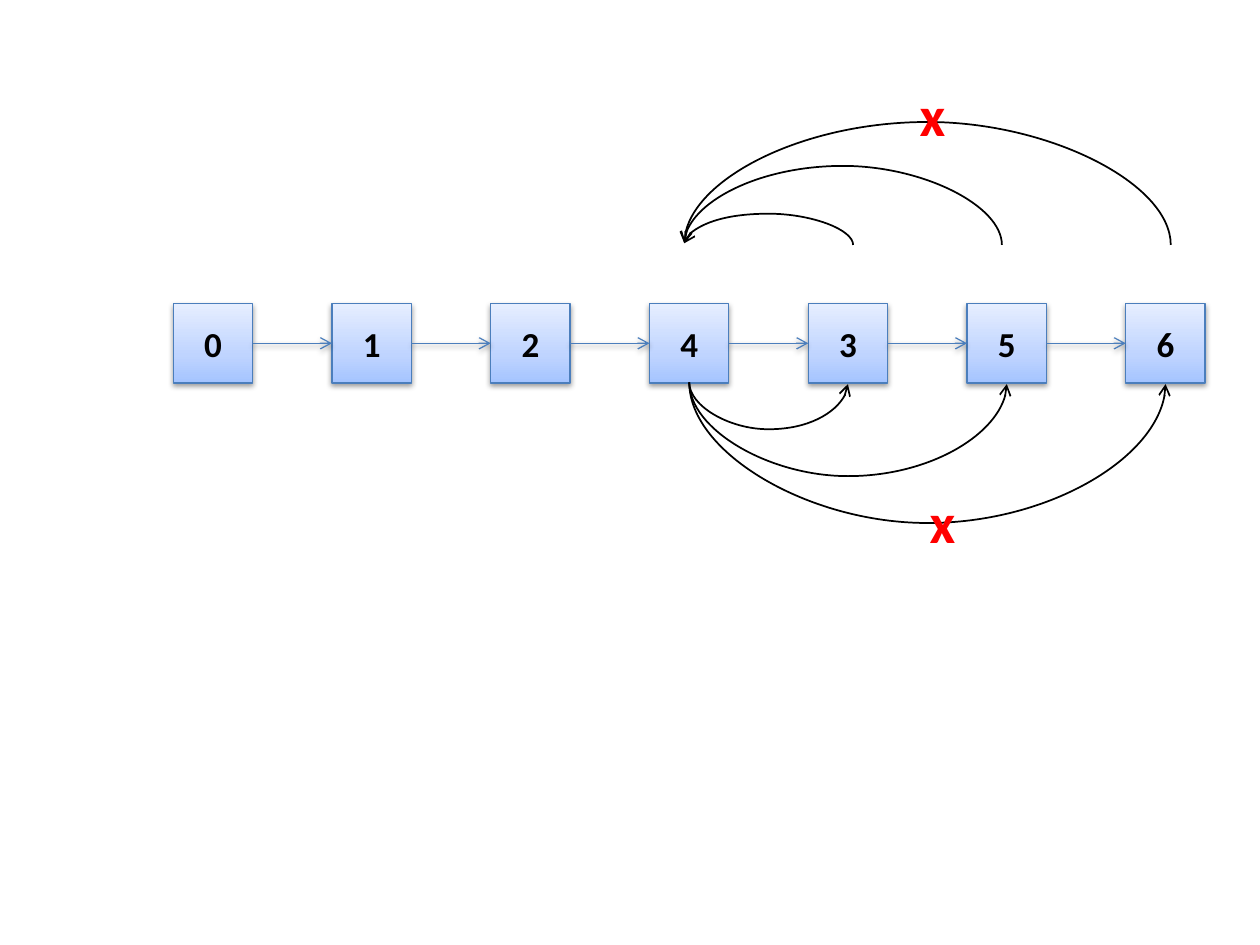
from dataclasses import dataclass

import pptx
import pptx.dml.color
import pptx.enum.dml
import pptx.enum.shapes
import pptx.enum.text
import pptx.oxml
import pptx.oxml.ns
import pptx.util
from copy import deepcopy

Pt = pptx.util.Pt
RGB = pptx.dml.color.RGBColor.from_string


@dataclass(frozen=True)
class Theme:
    font: str = "Calibri"
    node_size: int = 20
    cross_size: int = 32
    black: str = "000000"
    edge: str = "4B7EBC"
    cross: str = "FF0000"
    gradient: tuple = ((0, "A4C4FF"), (0.35, "BFD4FF"), (1, "E6EEFF"))


THEME = Theme()
NS = pptx.oxml.ns.nsdecls("a")
SHADOW = (
    '<a:outerShdw blurRad="40000" dist="20000" dir="5400000" rotWithShape="0">'
    '<a:srgbClr val="000000"><a:alpha val="38000"/></a:srgbClr></a:outerShdw>'
)


def set_effects(shape, effects=""):
    shape._element.spPr.append(
        pptx.oxml.parse_xml(f"<a:effectLst {NS}>{effects}</a:effectLst>"))


def style_arrow(arrow, color, width, effects=""):
    arrow.line.color.rgb = RGB(color)
    arrow.line.width = Pt(width)
    arrow.line._get_or_add_ln().append(
        pptx.oxml.parse_xml(f'<a:tailEnd {NS} type="arrow"/>'))
    set_effects(arrow, effects)


deck = pptx.Presentation()
deck.slide_width, deck.slide_height = Pt(720), Pt(540)
slide = deck.slides.add_slide(deck.slide_layouts[6])
shapes = slide.shapes

# Row of list nodes
SIDE, LEFT, TOP = 45.36, 99, 173.5
PITCH = 2 * SIDE
nodes = []
for index, value in enumerate("0124356"):
    node = shapes.add_shape(pptx.enum.shapes.MSO_SHAPE.RECTANGLE,
                            Pt(LEFT + index * PITCH), Pt(TOP), Pt(SIDE), Pt(SIDE))
    node.fill.gradient()
    node.fill.gradient_angle = 90
    first_stop = node.fill.gradient_stops[0]._gs
    first_stop.addnext(deepcopy(first_stop))
    for stop, (position, color) in zip(node.fill.gradient_stops, THEME.gradient):
        stop.position = position
        stop.color.rgb = RGB(color)
    node.line.color.rgb = RGB(THEME.edge)
    node.line.width = Pt(0.75)
    set_effects(node, SHADOW)
    node.text_frame.vertical_anchor = pptx.enum.text.MSO_ANCHOR.MIDDLE
    label = node.text_frame.paragraphs[0]
    label.text = value
    label.alignment = pptx.enum.text.PP_ALIGN.CENTER
    label.font.name = THEME.font
    label.font.size = Pt(THEME.node_size)
    label.font.bold = True
    label.font.color.rgb = RGB(THEME.black)
    nodes.append(node)

# Links from each node to the next
for node, following in zip(nodes, nodes[1:]):
    link = shapes.add_connector(pptx.enum.shapes.MSO_CONNECTOR.STRAIGHT, 0, 0, 0, 0)
    link.begin_connect(node, 3)
    link.end_connect(following, 1)
    style_arrow(link, THEME.edge, 0.75, SHADOW)

# Arcs as (left x, right x, middle y, rise, flip): backward above, forward below
BACK_END = 391
pivot = LEFT + 3 * PITCH + SIDE / 2
arcs = [(BACK_END, right, 139.5, rise, "flipV")
        for right, rise in ((487.5, 18), (572.5, 45.57), (669, 70.85))]
arcs += [(pivot, pivot + step * PITCH, 219, 27 * step, "flipH") for step in (1, 2, 3)]
for left, right, middle, rise, flip in arcs:
    span = right - left
    arc = shapes.add_connector(pptx.enum.shapes.MSO_CONNECTOR.CURVE, 0, 0, 0, 0)
    # A box 1 pt wide, turned by 270 degrees, makes the adjustment the rise in points
    arc.left, arc.top = Pt((left + right - 1) / 2), Pt(middle - span / 2)
    arc.width, arc.height = Pt(1), Pt(span)
    frame = arc._element.spPr.xfrm
    frame.set("rot", "16200000")
    frame.set(flip, "1")
    arc._element.spPr.prstGeom.get_or_add_avLst().append(pptx.oxml.parse_xml(
        f'<a:gd {NS} name="adj1" fmla="val {round(rise * 100000)}"/>'))
    style_arrow(arc, THEME.black, 1)

# Crosses on the two rejected arcs
for left, top in ((518.4, 42.5), (524.2, 275)):
    cross = shapes.add_textbox(Pt(left), Pt(top), Pt(33.8), Pt(46))
    cross.text_frame.word_wrap = True
    cross.text_frame.auto_size = pptx.enum.text.MSO_AUTO_SIZE.SHAPE_TO_FIT_TEXT
    mark = cross.text_frame.paragraphs[0]
    mark.text = "x"
    mark.font.name = THEME.font
    mark.font.size = Pt(THEME.cross_size)
    mark.font.bold = True
    mark.font.color.rgb = RGB(THEME.cross)

deck.save("out.pptx")
